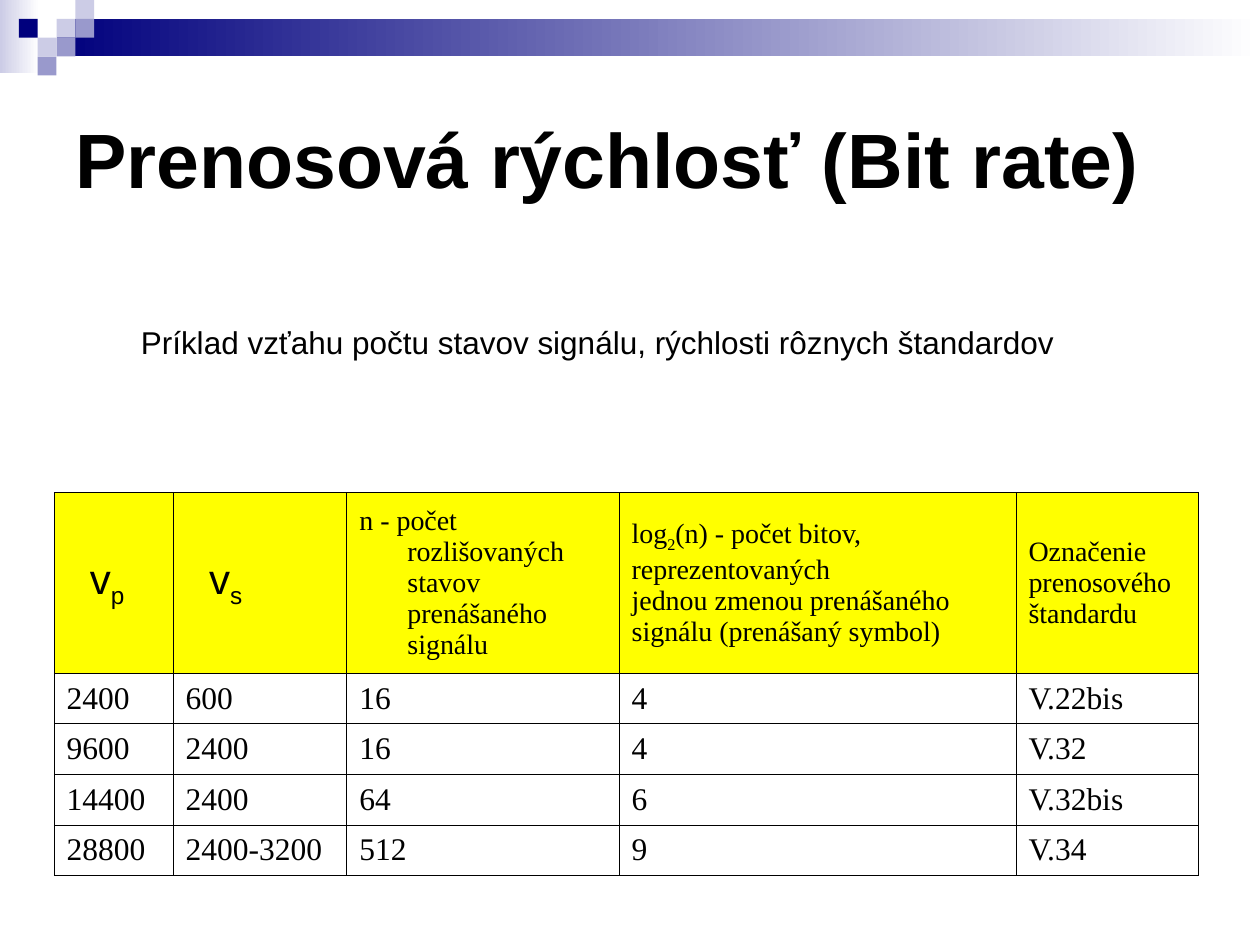
from dataclasses import dataclass

from lxml.etree import SubElement
from pptx import Presentation
from pptx.dml.color import RGBColor as Rgb
from pptx.enum.shapes import MSO_SHAPE as Preset
from pptx.enum.text import MSO_ANCHOR as Anchor
from pptx.oxml.ns import qn
from pptx.util import Cm, Pt


@dataclass(frozen=True)
class Theme:
    navy: Rgb = Rgb(0x00, 0x00, 0x7D)
    violet: Rgb = Rgb(0x99, 0x99, 0xCC)
    lilac: Rgb = Rgb(0xCC, 0xCC, 0xE6)
    white: Rgb = Rgb(0xFF, 0xFF, 0xFF)
    yellow: Rgb = Rgb(0xFF, 0xFF, 0x00)
    black: Rgb = Rgb(0x00, 0x00, 0x00)
    sans: str = "Arial"
    serif: str = "Times New Roman"
    title: Pt = Pt(44)
    symbol: Pt = Pt(24)
    body: Pt = Pt(18)
    header: Pt = Pt(16)
    border: Pt = Pt(0.34)


THEME = Theme()
SQUARE = 0.38
SQUARES = [
    (3, 1, THEME.lilac),
    (4, 0, THEME.lilac),
    (4, 1, THEME.violet),
    (2, 2, THEME.lilac),
    (1, 1, THEME.navy),
    (3, 2, THEME.violet),
    (2, 3, THEME.violet),
]
COLUMN_WIDTHS = [2.4, 3.5, 5.49, 8, 3.68]
HEADER_HEIGHT, ROW_HEIGHT = 3.63, 1.02
HANGING = {"marL": Cm(0.97), "indent": Cm(-0.97)}
INSET = {"marL": Cm(0.47), "indent": Cm(0)}
SYMBOL = {"name": THEME.sans, "size": THEME.symbol}
LABEL = {"name": THEME.serif, "size": THEME.header}
VALUE = {"name": THEME.serif, "size": THEME.body}
HEADERS = [
    ([["v", "p"]], SYMBOL, INSET),
    ([["v", "s"]], SYMBOL, INSET),
    ([["n - počet rozlišovaných stavov prenášaného signálu"]], LABEL, HANGING),
    (
        [
            ["log", "2", "(n) - počet bitov,"],
            ["reprezentovaných"],
            ["jednou zmenou prenášaného"],
            ["signálu (prenášaný symbol)"],
        ],
        LABEL,
        HANGING,
    ),
    ([["Označenie"], ["prenosového"], ["štandardu"]], LABEL, HANGING),
]
RATES = [
    ["2400", "600", "16", "4", "V.22bis"],
    ["9600", "2400", "16", "4", "V.32"],
    ["14400", "2400", "64", "6", "V.32bis"],
    ["28800", "2400-3200", "512", "9", "V.34"],
]


def apply(target, formats):
    for name, value in formats.items():
        setattr(target, name, value)


def write(frame, lines, font, indents=None):
    for number, pieces in enumerate(lines):
        para = frame.add_paragraph() if number else frame.paragraphs[0]
        for name, value in (indents or {}).items():
            para._p.get_or_add_pPr().set(name, str(int(value)))
        for position, piece in enumerate(pieces):
            span = para.add_run()
            span.text = piece
            apply(span.font, font)
            span.font.color.rgb = THEME.black
            if position % 2:
                span._r.get_or_add_rPr().set("baseline", "-25000")


def add_block(page, left, top, width, height, *colours):
    block = page.shapes.add_shape(
        Preset.RECTANGLE, Cm(left), Cm(top), Cm(width), Cm(height)
    )
    block.shadow.inherit = False
    block.line.fill.background()
    if len(colours) == 1:
        block.fill.solid()
        block.fill.fore_color.rgb = colours[0]
        return
    block.fill.gradient()
    block.fill.gradient_angle = 0
    for stop, colour in zip(block.fill.gradient_stops, colours):
        stop.color.rgb = colour


def add_banner(page):
    add_block(page, 0, 0, 0.79, 1.47, THEME.lilac, THEME.white)
    add_block(page, 3 * SQUARE, SQUARE, 25.4 - 3 * SQUARE, 2 * SQUARE,
              THEME.navy, THEME.white)
    for column, row, colour in SQUARES:
        add_block(page, column * SQUARE, row * SQUARE, SQUARE, SQUARE, colour)


def add_text(page, left, top, width, height, text, font, layout):
    box = page.shapes.add_textbox(Cm(left), Cm(top), Cm(width), Cm(height))
    apply(box.text_frame, layout)
    write(box.text_frame, [[text]], font)
    return box


def add_borders(cell):
    properties = cell._tc.get_or_add_tcPr()
    for side in ("a:lnL", "a:lnR", "a:lnT", "a:lnB"):
        line = SubElement(properties, qn(side), w=str(int(THEME.border)))
        fill = SubElement(line, qn("a:solidFill"))
        SubElement(fill, qn("a:srgbClr"), val=str(THEME.black))


def fill_cell(cell, lines, font, indents, colour=None):
    cell.vertical_anchor = Anchor.MIDDLE
    write(cell.text_frame, lines, font, indents)
    add_borders(cell)
    if colour is None:
        cell.fill.background()
    else:
        cell.fill.solid()
        cell.fill.fore_color.rgb = colour


def add_rate_table(page):
    heights = [HEADER_HEIGHT] + [ROW_HEIGHT] * len(RATES)
    table = page.shapes.add_table(
        len(heights), len(COLUMN_WIDTHS), Cm(1.09), Cm(9.93),
        Cm(sum(COLUMN_WIDTHS)), Cm(sum(heights)),
    ).table
    apply(table, {"first_row": False, "horz_banding": False})
    for column, width in zip(table.columns, COLUMN_WIDTHS):
        column.width = Cm(width)
    for row, height in zip(table.rows, heights):
        row.height = Cm(height)
    for column, (lines, font, indents) in enumerate(HEADERS):
        fill_cell(table.cell(0, column), lines, font, indents, THEME.yellow)
    for row, rates in enumerate(RATES, start=1):
        for column, rate in enumerate(rates):
            fill_cell(table.cell(row, column), [[rate]], VALUE, HANGING)


def main():
    deck = Presentation()
    apply(deck, {"slide_width": Cm(25.4), "slide_height": Cm(19.05)})
    page = deck.slides.add_slide(deck.slide_layouts[6])
    add_banner(page)
    add_text(
        page, 1.27, 1.27, 22.86, 3.81, "Prenosová rýchlosť (Bit rate)",
        {"name": THEME.sans, "size": THEME.title, "bold": True},
        {"word_wrap": True, "vertical_anchor": Anchor.MIDDLE},
    )
    add_rate_table(page)
    caption = add_text(
        page, 2.59, 6.53, 19.1, 0.86,
        "Príklad vzťahu počtu stavov signálu, rýchlosti rôznych štandardov",
        {"name": THEME.sans, "size": THEME.body},
        {"word_wrap": False},
    )
    caption.text_frame.paragraphs[0].line_spacing = 0.8
    deck.save("out.pptx")


if __name__ == "__main__":
    main()
